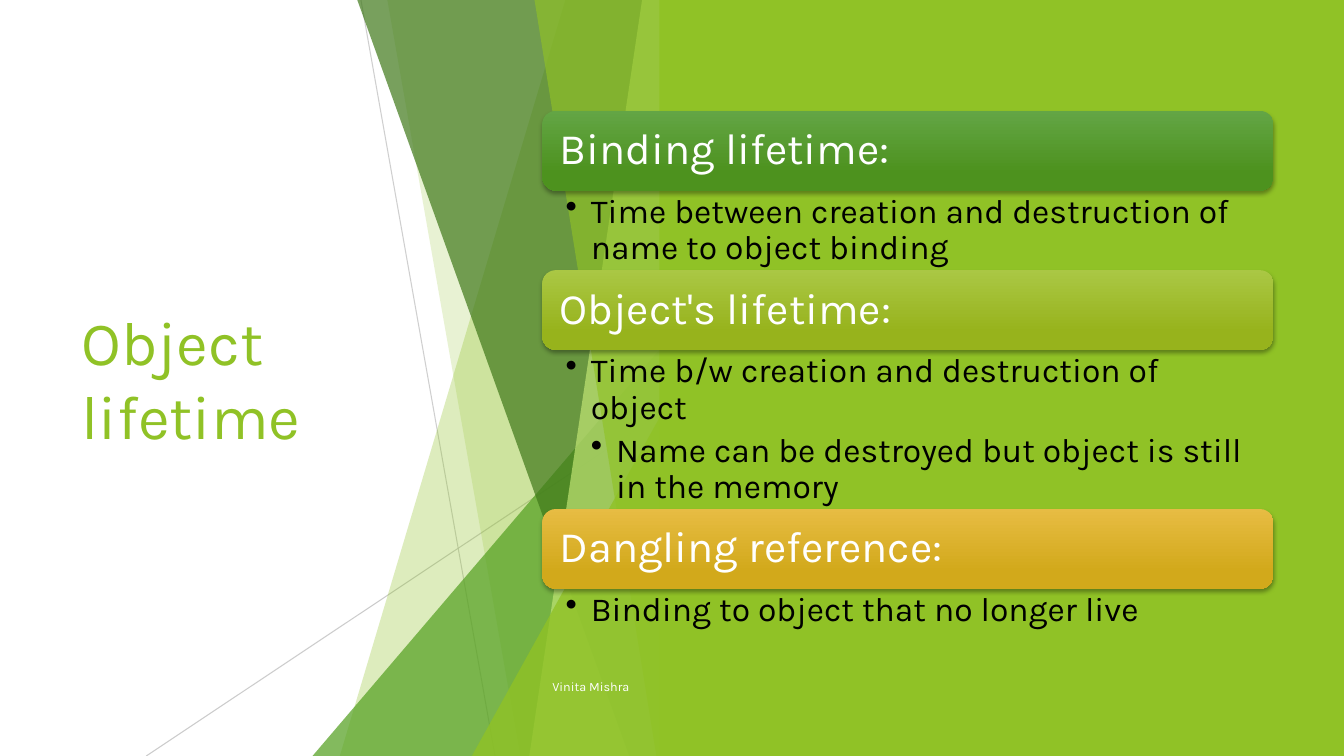
"""Build the slide on object lifetime with a faceted green panel."""
from dataclasses import dataclass

from lxml import etree
from pptx import Presentation
from pptx.dml.color import ColorFormat, RGBColor
from pptx.enum.shapes import MSO_CONNECTOR, MSO_SHAPE
from pptx.enum.text import MSO_ANCHOR
from pptx.oxml.ns import qn
from pptx.shapes.autoshape import Shape
from pptx.shapes.shapetree import SlideShapes
from pptx.util import Inches, Pt

TOP, MIDDLE = MSO_ANCHOR.TOP, MSO_ANCHOR.MIDDLE
RECT, ROUND = MSO_SHAPE.RECTANGLE, MSO_SHAPE.ROUNDED_RECTANGLE
TRI, LINE = MSO_SHAPE.ISOSCELES_TRIANGLE, MSO_CONNECTOR.STRAIGHT
FONT = "Karla"
GREEN, WHITE, BLACK, GREY = "90C226", "FFFFFF", "000000", "BFBFBF"
WIDE, HIGH = 13.33, 7.5
EDGE = 6.66
LEFT, SPAN, BAR, PAD = 5.38, 7.25, 0.79, 0.04
INDENT = 0.25


@dataclass
class Ray:
    start: tuple[float, float]
    end: tuple[float, float]
    alpha: int


@dataclass
class Facet:
    top: float
    base: float
    color: str
    alpha: int


@dataclass
class Wedge:
    left: float
    top: float
    color: str
    alpha: int


@dataclass
class Topic:
    head: str
    points: list[str]
    light: str
    dark: str
    depth: float


RAYS = [Ray((3.58, 0), (4.91, HIGH), 75), Ray((EDGE, 4.03), (1.45, HIGH), 80)]
FACETS = [
    Facet(5.61, 3.37, GREEN, 30),
    Facet(3.84, 5.16, GREEN, 20),
    Wedge(3.1, 3.33, "54A021", 72),
    Facet(3.54, 6.24, "3F7819", 70),
    Facet(6.37, 5.25, "C0E474", 70),
    Facet(5.3, 6.51, GREEN, 65),
    Wedge(4.68, 3.93, GREEN, 80),
]
TOPICS = [
    Topic("Binding lifetime:",
          ["Time between creation and destruction of name to object binding"],
          "63A545", "4D921E", 0.79),
    Topic("Object's lifetime:",
          ["Time b/w creation and destruction of object",
           "Name can be destroyed but object is still in the memory"],
          "AAC744", "97B31C", 1.58),
    Topic("Dangling reference:", ["Binding to object that no longer live"],
          "E7BC43", "D2A91B", 0.56),
]


def paint(target: ColorFormat, color: str) -> None:
    target.rgb = RGBColor.from_string(color)


def fade(root: etree._Element, alpha: int) -> None:
    tint = root.find(".//" + qn("a:srgbClr"))
    etree.SubElement(tint, qn("a:alpha"), val=str(alpha * 1000))


def finish(shape: Shape, color: str, alpha: int = 100) -> None:
    shape.shadow.inherit = False
    shape.line.fill.background()
    shape.fill.solid()
    paint(shape.fill.fore_color, color)
    if alpha < 100:
        fade(shape._element.spPr, alpha)


def add_shape(shapes: SlideShapes, kind: MSO_SHAPE, x: float, y: float,
              w: float, h: float) -> Shape:
    return shapes.add_shape(kind, Inches(x), Inches(y), Inches(w), Inches(h))


def add_ray(shapes: SlideShapes, ray: Ray) -> None:
    ends = [Inches(v) for v in (*ray.start, *ray.end)]
    line = shapes.add_connector(LINE, *ends)
    line.line.width = Pt(0.75)
    paint(line.line.color, GREY)
    props = line._element.spPr
    fade(props, ray.alpha)
    etree.SubElement(props, qn("a:effectLst"))


def add_facet(shapes: SlideShapes, facet: Facet | Wedge) -> None:
    if isinstance(facet, Wedge):
        shape = add_shape(shapes, TRI, facet.left, facet.top,
                          EDGE - facet.left, HIGH - facet.top)
        shape.adjustments[0] = 1
    else:
        form = shapes.build_freeform(Inches(facet.top), Inches(-0.01))
        rest = [(EDGE, -0.01), (EDGE, HIGH), (facet.base, HIGH)]
        form.add_line_segments([(Inches(x), Inches(y)) for x, y in rest])
        shape = form.convert_to_shape()
    finish(shape, facet.color, facet.alpha)


def add_text(shapes: SlideShapes, lines: list[str], x: float, y: float,
             w: float, h: float, *, size: float, color: str,
             anchor: MSO_ANCHOR = MIDDLE, after: float = 0,
             space: float | None = None, bullet: bool = False,
             inset: tuple[float, float, float, float] = (0.1, 0.05, 0.1, 0.05),
             ) -> None:
    box = shapes.add_textbox(Inches(x), Inches(y), Inches(w), Inches(h))
    frame = box.text_frame
    frame.word_wrap = True
    frame.vertical_anchor = anchor
    (frame.margin_left, frame.margin_top,
     frame.margin_right, frame.margin_bottom) = [Inches(v) for v in inset]
    for level, line in enumerate(lines):
        para = frame.paragraphs[0] if level == 0 else frame.add_paragraph()
        if bullet:
            para.level = level + 1
            props = para._p.get_or_add_pPr()
            props.set("marL", str(Inches(INDENT * (level + 1))))
            props.set("indent", str(-Inches(INDENT)))
            etree.SubElement(props, qn("a:buChar"), char="•")
        para.line_spacing = space
        para.space_after = Pt(after)
        run = para.add_run()
        run.text = line
        run.font.name = FONT
        run.font.size = Pt(size)
        paint(run.font.color, color)


def add_bar(shapes: SlideShapes, topic: Topic, y: float) -> None:
    bar = add_shape(shapes, ROUND, LEFT, y, SPAN, BAR)
    bar.line.fill.background()
    bar.fill.gradient()
    bar.fill.gradient_angle = 270
    shades = [(0, topic.light), (0.78, topic.dark)]
    for stop, (place, color) in zip(bar.fill.gradient_stops, shades):
        stop.position = place
        paint(stop.color, color)
    bar.shadow.inherit = False
    effects = bar._element.spPr.find(qn("a:effectLst"))
    shade = etree.SubElement(effects, qn("a:outerShdw"), blurRad=str(Pt(3)),
                             dist=str(Pt(2)), dir="5400000", rotWithShape="0")
    etree.SubElement(shade, qn("a:srgbClr"), val=BLACK)
    fade(shade, 35)


def add_topic(shapes: SlideShapes, topic: Topic, y: float) -> None:
    add_bar(shapes, topic, y)
    add_text(shapes, [topic.head], LEFT + PAD, y + PAD, SPAN - 2 * PAD,
             BAR - 2 * PAD, size=31, color=WHITE, space=0.9, after=11,
             inset=(0.13, 0.13, 0.13, 0.13))
    add_text(shapes, topic.points, LEFT, y + BAR, SPAN, topic.depth, size=24,
             color=BLACK, anchor=TOP, space=0.9, after=5, bullet=True,
             inset=(0.23, 0.04, 0.24, 0.04))


def main() -> None:
    deck = Presentation()
    deck.slide_width, deck.slide_height = Inches(WIDE), Inches(HIGH)
    shapes = deck.slides.add_slide(deck.slide_layouts[6]).shapes
    finish(add_shape(shapes, RECT, 0, 0, WIDE, HIGH), WHITE)
    add_text(shapes, ["Object lifetime"], 0.71, 1.51, 3.88, 4.48,
             size=44, color=GREEN)
    for ray in RAYS:
        add_ray(shapes, ray)
    for facet in FACETS:
        add_facet(shapes, facet)
    finish(add_shape(shapes, RECT, 6.54, 0, WIDE - 6.54, HIGH), GREEN)
    add_text(shapes, ["Vinita Mishra"], LEFT, 6.61, 6, 0.4,
             size=9, color=WHITE, after=6)
    y = 1.1
    for topic in TOPICS:
        add_topic(shapes, topic, y)
        y += BAR + topic.depth
    deck.save("out.pptx")


if __name__ == "__main__":
    main()
